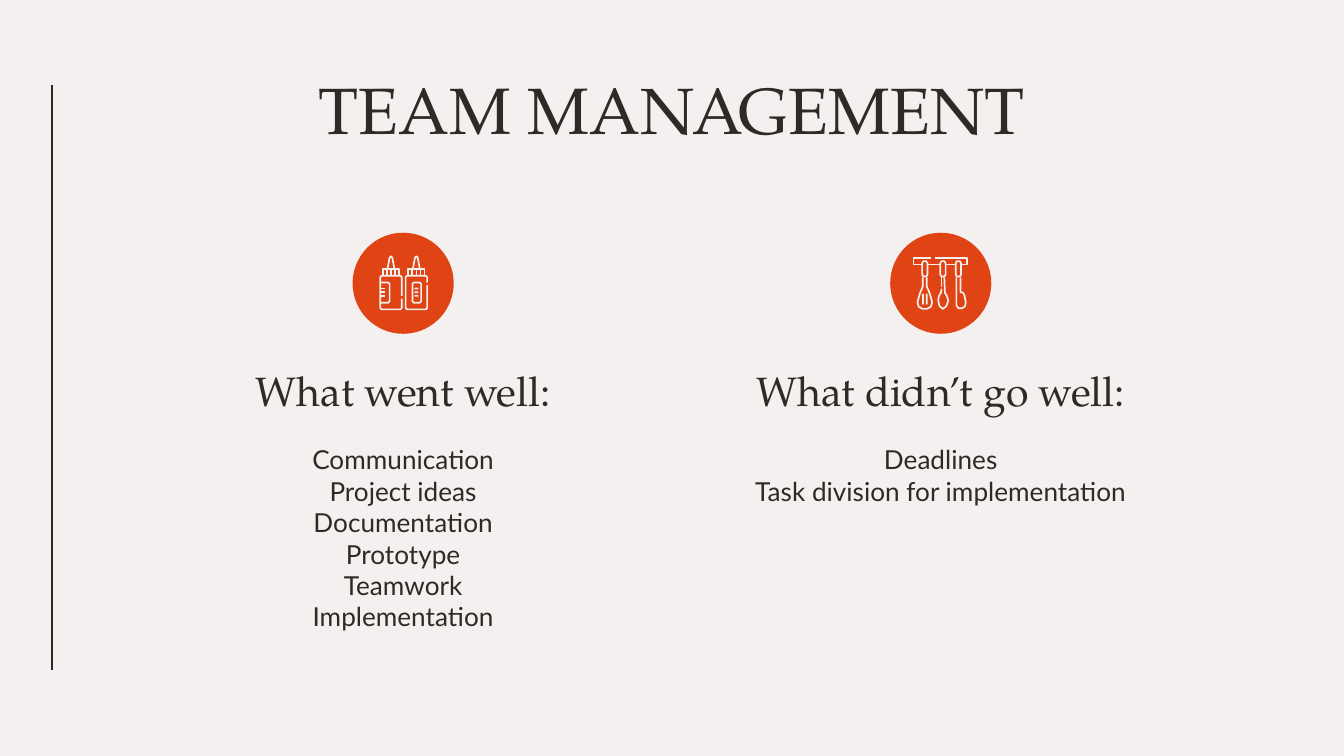
from pptx import Presentation
from pptx.dml.color import RGBColor
from pptx.enum.shapes import MSO_CONNECTOR, MSO_SHAPE
from pptx.enum.text import MSO_ANCHOR, PP_ALIGN
from pptx.oxml.ns import qn
from pptx.util import Cm, Pt

STRAIGHT = MSO_CONNECTOR.STRAIGHT
OVAL = MSO_SHAPE.OVAL
ROUNDED = MSO_SHAPE.ROUNDED_RECTANGLE
TOP = MSO_ANCHOR.TOP
MIDDLE = MSO_ANCHOR.MIDDLE
CENTER = PP_ALIGN.CENTER

COLORS = {"background": "F3F0EF", "ink": "2E2A28", "accent": "E04415"}
SERIF = "TeX Gyre Pagella"
SANS = "Lato"
ICON_UNIT = Cm(0.0127)
COLUMN_WIDTH = 8.08
CIRCLE_SIZE = 1.91


class SlideBuilder:
    def __init__(self, slide):
        self.slide = slide
        fill = slide.background.fill
        fill.solid()
        fill.fore_color.rgb = self.color("background")

    def color(self, name):
        return RGBColor.from_string(COLORS[name])

    def text(self, lines, left, top, width, height, font, size, anchor=MIDDLE):
        box = self.slide.shapes.add_textbox(Cm(left), Cm(top), Cm(width), Cm(height))
        frame = box.text_frame
        frame.word_wrap = True
        frame.vertical_anchor = anchor
        frame.margin_left = frame.margin_right = Cm(0.25)
        frame.margin_top = frame.margin_bottom = Cm(0.25)
        frame.text = "\n".join(lines)
        for paragraph in frame.paragraphs:
            paragraph.alignment = CENTER
            for run in paragraph.runs:
                run.font.name = font
                run.font.size = Pt(size)
                run.font.color.rgb = self.color("ink")

    def vertical_line(self, left, top, bottom):
        line = self.slide.shapes.add_connector(
            STRAIGHT, Cm(left), Cm(top), Cm(left), Cm(bottom))
        line.line.color.rgb = self.color("ink")
        line.line.width = Pt(0.75)
        properties = line._element.spPr
        properties.append(properties.makeelement(qn("a:effectLst"), {}))

    def filled(self, kind, left, top, width, height, color):
        shape = self.slide.shapes.add_shape(
            kind, Cm(left), Cm(top), Cm(width), Cm(height))
        shape.shadow.inherit = False
        shape.fill.solid()
        shape.fill.fore_color.rgb = self.color(color)
        shape.line.fill.background()
        return shape

    def pill(self, left, top, width, height):
        shape = self.filled(ROUNDED, left, top, width, height, "background")
        shape.adjustments[0] = 0.5

    def strokes(self, paths, left, top):
        builder = self.slide.shapes.build_freeform(*paths[0][0], scale=ICON_UNIT)
        builder.add_line_segments(paths[0][1:], close=False)
        for start, *points in paths[1:]:
            builder.move_to(*start)
            builder.add_line_segments(points, close=False)
        shape = builder.convert_to_shape(Cm(left), Cm(top))
        shape.shadow.inherit = False
        shape.fill.background()
        shape.line.color.rgb = self.color("background")
        shape.line.width = Pt(0.9)

    def bottle(self, center, top, gap, details=()):
        nozzle = [(-5, 20), (-2, 4), (0, 2), (2, 4), (5, 20)]
        cap = [(-12, 31), (-12, 21), (12, 21), (12, 31)]
        ridges = [[(x, 21), (x, 31)] for x in (-6, 0, 6)]
        body = [(16, gap - 2), (16, 33), (14, 31), (-14, 31), (-16, 33),
                (-16, 79), (-14, 81), (14, 81), (16, 79), (16, gap + 2)]
        self.strokes([nozzle, cap, *ridges, body, *details], center, top)

    def bottles(self, top):
        side_label = [(-15, 41), (-4, 41), (-2, 43), (-2, 69), (-4, 71), (-15, 71)]
        ticks = [[(-15, y), (-9, y)] for y in (50, 55, 61)]
        self.bottle(7.39, top, 63, [side_label, *ticks])
        self.bottle(7.87, top, 43)
        front_label = [(-4, 41), (5, 41), (7, 43), (7, 69), (5, 71),
                       (-4, 71), (-6, 69), (-6, 43), (-4, 41)]
        self.strokes([front_label], 7.87, top)
        for tick_top in (5.44, 5.51, 5.58):
            self.pill(7.83, tick_top, 0.08, 0.03)

    def utensils(self, left, top):
        rail = [
            [(28, 1), (1, 1), (1, 11), (14, 11)],
            [(22, 11), (41, 11)],
            [(49, 11), (64, 11)],
            [(72, 11), (81, 11), (81, 1), (33, 1)],
        ]
        spatula = [(15, 30), (15, 44), (11, 53), (7, 67), (9, 74), (15, 77), (21, 77),
                   (27, 74), (29, 67), (25, 53), (21, 44), (21, 30)]
        spoon = [
            [(43, 30), (43, 44)],
            [(43, 47), (42, 53), (39, 58), (38, 65), (40, 73), (45, 77),
             (50, 73), (53, 65), (51, 58), (48, 53), (47, 30)],
        ]
        knife = [(65, 30), (65, 72), (68, 76), (74, 76), (78, 73), (79, 67),
                 (77, 57), (75, 53), (71, 52), (71, 30)]
        handles = [[(x - 4, 9), (x - 2, 6), (x + 2, 6), (x + 4, 9), (x + 4, 26),
                    (x + 2, 29), (x - 2, 29), (x - 4, 26), (x - 4, 9)]
                   for x in (18, 45, 68)]
        for slot_left in (17.43, 17.5):
            self.pill(slot_left, 5.55, 0.03, 0.21)
        self.strokes([*rail, spatula, *spoon, knife, *handles], left, top)

    def column(self, left, heading, items, height):
        self.text(items, left, 8.14, COLUMN_WIDTH, height, SANS, 14, TOP)
        self.text([heading], left, 6.72, COLUMN_WIDTH, 1.32, SERIF, 22)

    def circle(self, column_left):
        left = column_left + (COLUMN_WIDTH - CIRCLE_SIZE) / 2
        self.filled(OVAL, left, 4.4, CIRCLE_SIZE, CIRCLE_SIZE, "accent")


def main():
    presentation = Presentation()
    presentation.slide_width = Cm(25.4)
    presentation.slide_height = Cm(14.29)
    builder = SlideBuilder(presentation.slides.add_slide(presentation.slide_layouts[6]))
    builder.vertical_line(0.98, 1.6, 12.67)
    builder.text(["TEAM MANAGEMENT"], 2, 1.24, 21.4, 1.6, SERIF, 35)
    well_left, unwell_left = 3.58, 13.74
    builder.column(well_left, "What went well:", [
        "Communication", "Project ideas", "Documentation",
        "Prototype", "Teamwork", "Implementation"], 3.58)
    builder.column(unwell_left, "What didn’t go well:", [
        "Deadlines", "Task division for implementation"], 2.57)
    builder.circle(unwell_left)
    builder.circle(well_left)
    builder.utensils(17.25, 4.86)
    builder.bottles(4.82)
    presentation.save("out.pptx")


if __name__ == "__main__":
    main()
